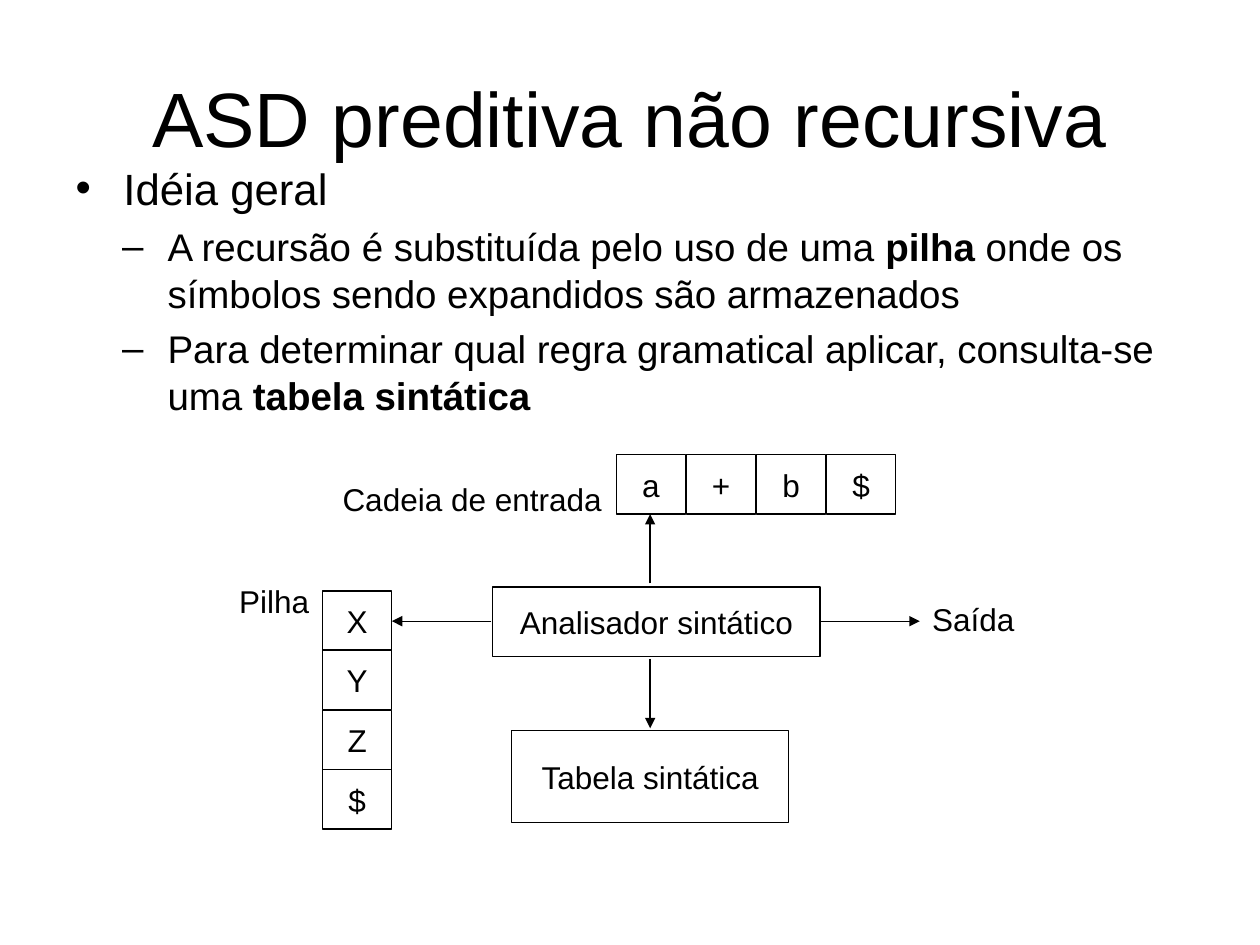
from pptx import Presentation, util as u
from pptx.dml.color import RGBColor
from pptx.enum import shapes, text
from pptx.oxml import ns, xmlchemy as xml

BLACK = RGBColor(0, 0, 0)
LEFT, MID = text.PP_ALIGN.LEFT, text.PP_ALIGN.CENTER
CELL_W, CELL_H = 0.55, 0.47


def write(par, words, size=18, align=LEFT, space=0):
    """Fill a paragraph; words between asterisks become bold."""
    par.alignment = align
    par.space_before = u.Pt(space)
    for i, part in enumerate(words.split("*")):
        if part:
            run = par.add_run()
            run.text = part
            font = run.font
            font.name, font.size, font.bold = "Arial", u.Pt(size), i % 2 == 1
            font.color.rgb = BLACK


def place(shape, *box):
    shape.left, shape.top, shape.width, shape.height = map(u.Inches, box)


class Deck:
    """Holds the line style and the current slide."""

    def __init__(self):
        self.file = Presentation()
        self.file.slide_width, self.file.slide_height = u.Inches(10), u.Inches(7.5)
        self.slide = self.file.slides.add_slide(self.file.slide_layouts[1])
        self.line = u.Pt(0.75)

    def title(self, words, *box):
        shape = self.slide.shapes.title
        place(shape, *box)
        shape.text_frame.auto_size = text.MSO_AUTO_SIZE.NONE
        shape.text_frame.vertical_anchor = text.MSO_ANCHOR.MIDDLE
        write(shape.text_frame.paragraphs[0], words, size=44, align=MID)

    def body(self, items, *box):
        """Write a bullet list from (level, words) pairs."""
        shape = self.slide.placeholders[1]
        place(shape, *box)
        frame = shape.text_frame
        frame.auto_size = text.MSO_AUTO_SIZE.NONE
        styles = [(25, 6.2, 0.38, -0.38), (22, 5.5, 0.73, -0.36)]
        for i, (level, words) in enumerate(items):
            par = frame.add_paragraph() if i else frame.paragraphs[0]
            size, space, margin, indent = styles[level]
            par.level = level
            write(par, words, size=size, space=space)
            props = par._p.get_or_add_pPr()
            props.set("marL", str(u.Inches(margin)))
            props.set("indent", str(u.Inches(indent)))

    def box(self, words, *box, group=None):
        home = group.shapes if group else self.slide.shapes
        shape = home.add_shape(shapes.MSO_SHAPE.RECTANGLE, *map(u.Inches, box))
        shape.shadow.inherit = False
        shape.fill.background()
        shape.line.color.rgb, shape.line.width = BLACK, self.line
        frame = shape.text_frame
        frame.word_wrap = False
        frame.vertical_anchor = text.MSO_ANCHOR.MIDDLE
        write(frame.paragraphs[0], words, align=MID)

    def cells(self, signs, left, top, dx=0, dy=0):
        """Group a run of equal cells, each one step (dx, dy) further."""
        group = self.slide.shapes.add_group_shape()
        for i, sign in enumerate(signs):
            self.box(sign, left + i * dx, top + i * dy, CELL_W, CELL_H, group=group)

    def label(self, words, *box):
        frame = self.slide.shapes.add_textbox(*map(u.Inches, box)).text_frame
        frame.word_wrap = False
        frame.auto_size = text.MSO_AUTO_SIZE.SHAPE_TO_FIT_TEXT
        write(frame.paragraphs[0], words)

    def arrow(self, *ends):
        """Draw from (x1, y1) to an arrowhead at (x2, y2)."""
        link = self.slide.shapes.add_connector(
            shapes.MSO_CONNECTOR.STRAIGHT, *map(u.Inches, ends))
        link.line.color.rgb, link.line.width = BLACK, self.line
        head = xml.OxmlElement("a:tailEnd")
        head.set("type", "triangle")
        link._element.spPr.find(ns.qn("a:ln")).append(head)
        link._element.spPr.append(xml.OxmlElement("a:effectLst"))


def main():
    deck = Deck()
    deck.title("ASD preditiva não recursiva", 0.5, 0.3, 9, 1.25)
    deck.body([
        (0, "Idéia geral"),
        (1, "A recursão é substituída pelo uso de uma *pilha* onde os "
            "símbolos sendo expandidos são armazenados"),
        (1, "Para determinar qual regra gramatical aplicar, consulta-se "
            "uma *tabela sintática*"),
    ], 0.5, 1.23, 9, 4.96)

    deck.box("Analisador sintático", 3.91, 4.66, 2.6, 0.55)
    deck.box("Tabela sintática", 4.06, 5.8, 2.2, 0.73)
    deck.cells("XYZ$", 2.56, 4.69, dy=1.42 / 3)
    deck.cells("a+b$", 4.89, 3.61, dx=1.67 / 3)

    deck.label("Pilha", 1.8, 4.57, 0.78, 0.4)
    deck.label("Saída", 7.3, 4.71, 0.88, 0.4)
    deck.label("Cadeia de entrada", 2.62, 3.76, 2.28, 0.4)

    deck.arrow(6.51, 4.93, 7.3, 4.93)
    deck.arrow(3.9, 4.93, 3.11, 4.93)
    deck.arrow(5.16, 4.63, 5.16, 4.08)
    deck.arrow(5.16, 5.23, 5.16, 5.78)
    deck.file.save("out.pptx")


if __name__ == "__main__":
    main()
